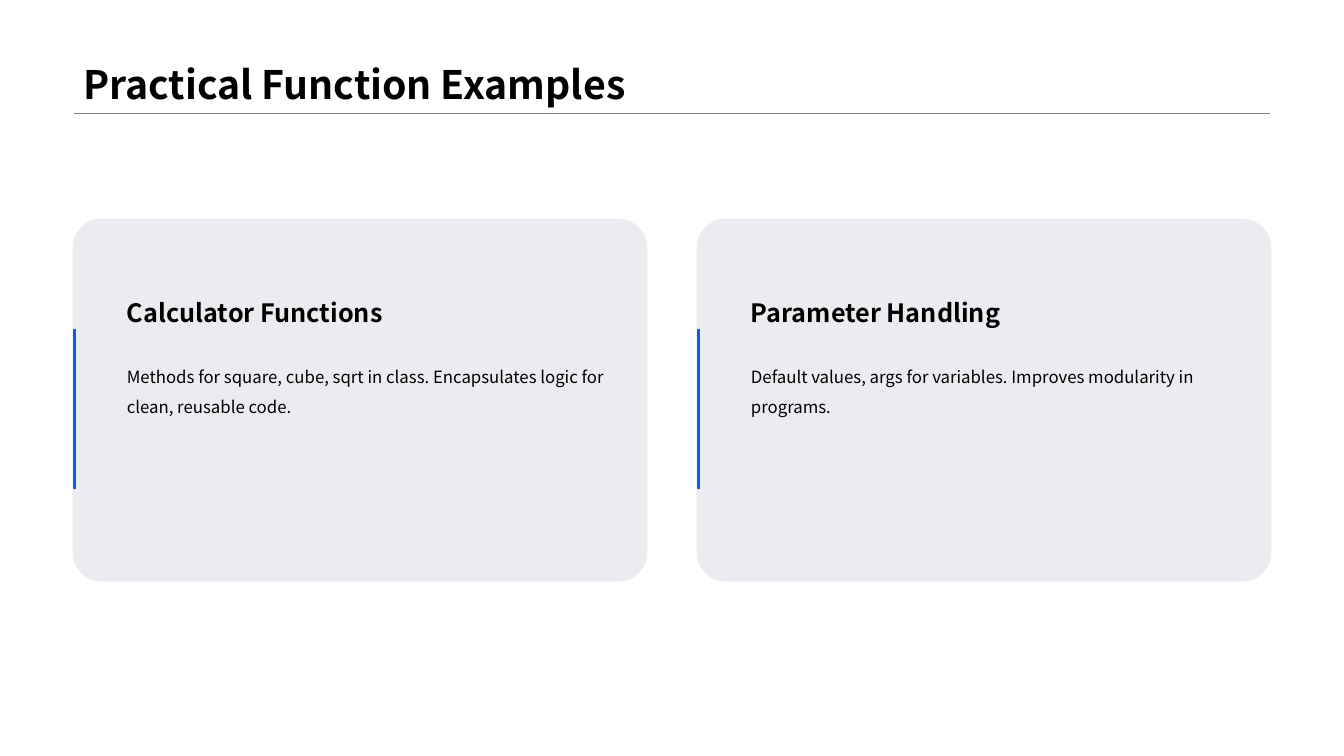
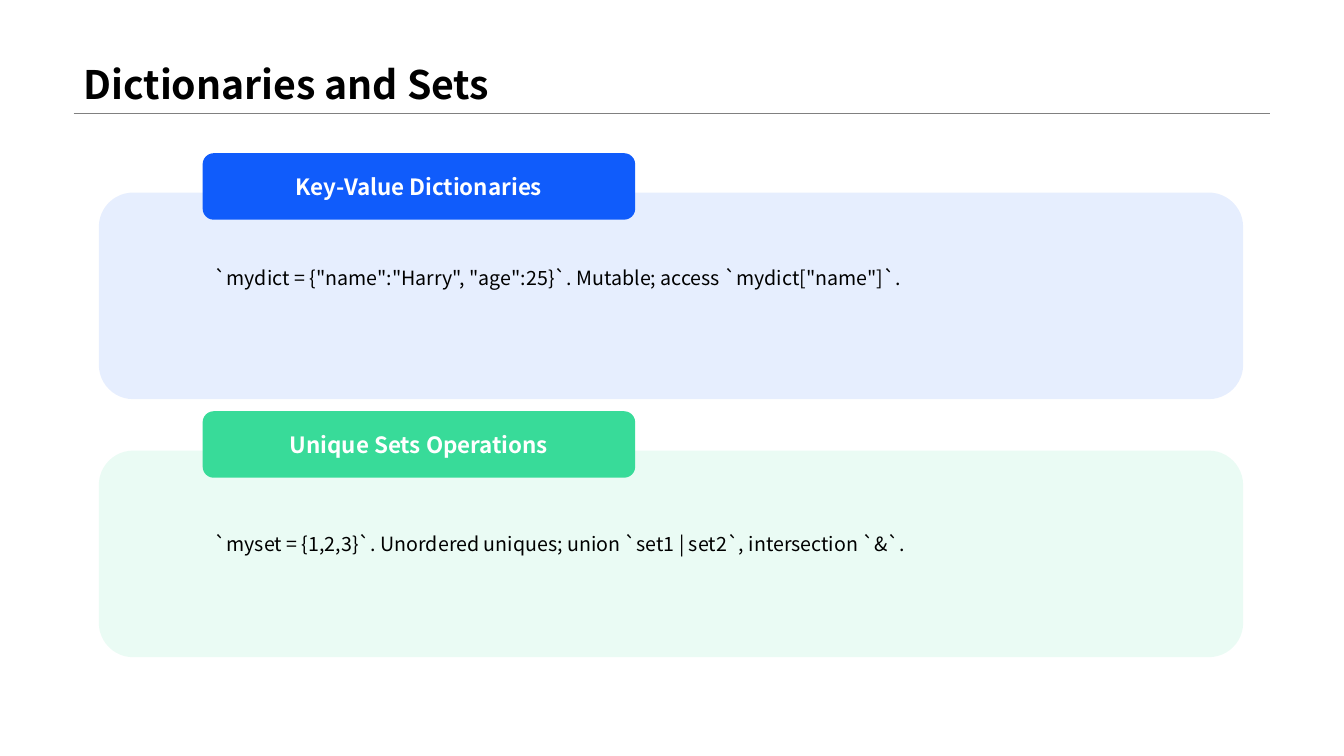
from lxml import etree
from pptx import Presentation
from pptx.dml.color import RGBColor
from pptx.enum.shapes import MSO_CONNECTOR, MSO_SHAPE
from pptx.enum.text import MSO_ANCHOR, PP_ALIGN
from pptx.oxml.ns import qn
from pptx.util import Inches, Pt

FONT = "Noto Sans CJK SC"
COLORS = {
    "text": "000000",
    "white": "FFFFFF",
    "rule": "808080",
    "card": "768395",
    "blue": "105CFB",
    "green": "38DB99",
}


def color(name):
    return RGBColor.from_string(COLORS[name])


def add_line(page, start, end, color_name, width):
    line = page.shapes.add_connector(
        MSO_CONNECTOR.STRAIGHT, *(Inches(value) for value in (*start, *end)))
    line.line.color.rgb = color(color_name)
    line.line.width = Pt(width)
    etree.SubElement(line._element.spPr, qn("a:effectLst"))


def add_panel(page, left, top, width, height, color_name, opacity=100, corner=0.1667):
    """Rounded rectangle with an optional see-through fill."""
    panel = page.shapes.add_shape(
        MSO_SHAPE.ROUNDED_RECTANGLE,
        Inches(left), Inches(top), Inches(width), Inches(height))
    panel.adjustments[0] = corner
    panel.shadow.inherit = False
    panel.line.fill.background()
    panel.fill.solid()
    panel.fill.fore_color.rgb = color(color_name)
    if opacity < 100:
        fill_color = panel._element.spPr.find(f"{qn('a:solidFill')}/{qn('a:srgbClr')}")
        etree.SubElement(fill_color, qn("a:alpha"), val=str(opacity * 1000))
    return panel


def write(box, text, size, bold=False, color_name="text", spacing=None,
          align=PP_ALIGN.LEFT, anchor=MSO_ANCHOR.TOP, inset=None):
    frame = box.text_frame
    frame.word_wrap = True
    frame.vertical_anchor = anchor
    if inset is not None:
        frame.margin_left = frame.margin_right = Inches(inset)
        frame.margin_top = frame.margin_bottom = Inches(inset)
    para = frame.paragraphs[0]
    para.text = text
    para.alignment = align
    para.line_spacing = spacing
    para.font.name = FONT
    para.font.size = Pt(size)
    para.font.bold = bold
    para.font.color.rgb = color(color_name)


def add_text(page, left, top, width, height, text, size, **style):
    box = page.shapes.add_textbox(
        Inches(left), Inches(top), Inches(width), Inches(height))
    write(box, text, size, **style)


def add_page(deck, title):
    """Blank page with the shared title and the rule under it."""
    page = deck.slides.add_slide(deck.slide_layouts[6])
    add_line(page, (0.73, 1.12), (12.6, 1.12), "rule", 0.25)
    add_text(page, 0.73, 0, 11.88, 1.12, title, 28, bold=True,
             spacing=0.9, anchor=MSO_ANCHOR.BOTTOM)
    return page


def add_card(page, left, top, heading, body):
    """Grey card with a blue accent on its left edge."""
    add_panel(page, left, top, 5.7, 3.6, "card", opacity=15, corner=0.08)
    add_line(page, (left + 0.02, top + 1.09), (left + 0.02, top + 2.68), "blue", 2.25)
    add_text(page, left + 0.44, top + 0.73, 4.79, 0.4, heading, 18, bold=True)
    add_text(page, left + 0.44, top + 1.32, 5.06, 0.97, body, 12, spacing=1.5)


def add_section(page, left, top, color_name, heading, body, body_offset):
    """Tinted panel with a solid label over its top edge."""
    add_panel(page, left, top, 11.35, 2.05, color_name, opacity=10)
    label = add_panel(page, left + 1.03, top - 0.39, 4.29, 0.66, color_name)
    write(label, heading, 16, bold=True, color_name="white",
          align=PP_ALIGN.CENTER, anchor=MSO_ANCHOR.MIDDLE, inset=0)
    add_text(page, left + 1.03, top + body_offset, 10.2, 1.26, body, 14,
             spacing=1.5, inset=0.12)


def build_examples(deck):
    page = add_page(deck, "Practical Function Examples")
    cards = [
        ("Calculator Functions",
         "Methods for square, cube, sqrt in class. "
         "Encapsulates logic for clean, reusable code."),
        ("Parameter Handling",
         "Default values, args for variables. Improves modularity in programs."),
    ]
    for column, (heading, body) in enumerate(cards):
        add_card(page, 0.72 + column * 6.19, 2.17, heading, body)


def build_collections(deck):
    page = add_page(deck, "Dictionaries and Sets")
    sections = [
        ("blue", "Key-Value Dictionaries",
         '`mydict = {"name":"Harry", "age":25}`. Mutable; access `mydict["name"]`.',
         0.49),
        ("green", "Unique Sets Operations",
         "`myset = {1,2,3}`. Unordered uniques; union `set1 | set2`, intersection `&`.",
         0.57),
    ]
    for row, section in enumerate(sections):
        add_section(page, 0.98, 1.91 + row * 2.56, *section)


def main():
    deck = Presentation()
    deck.slide_width = Inches(13.33)
    deck.slide_height = Inches(7.5)
    build_examples(deck)
    build_collections(deck)
    deck.save("out.pptx")


if __name__ == "__main__":
    main()
